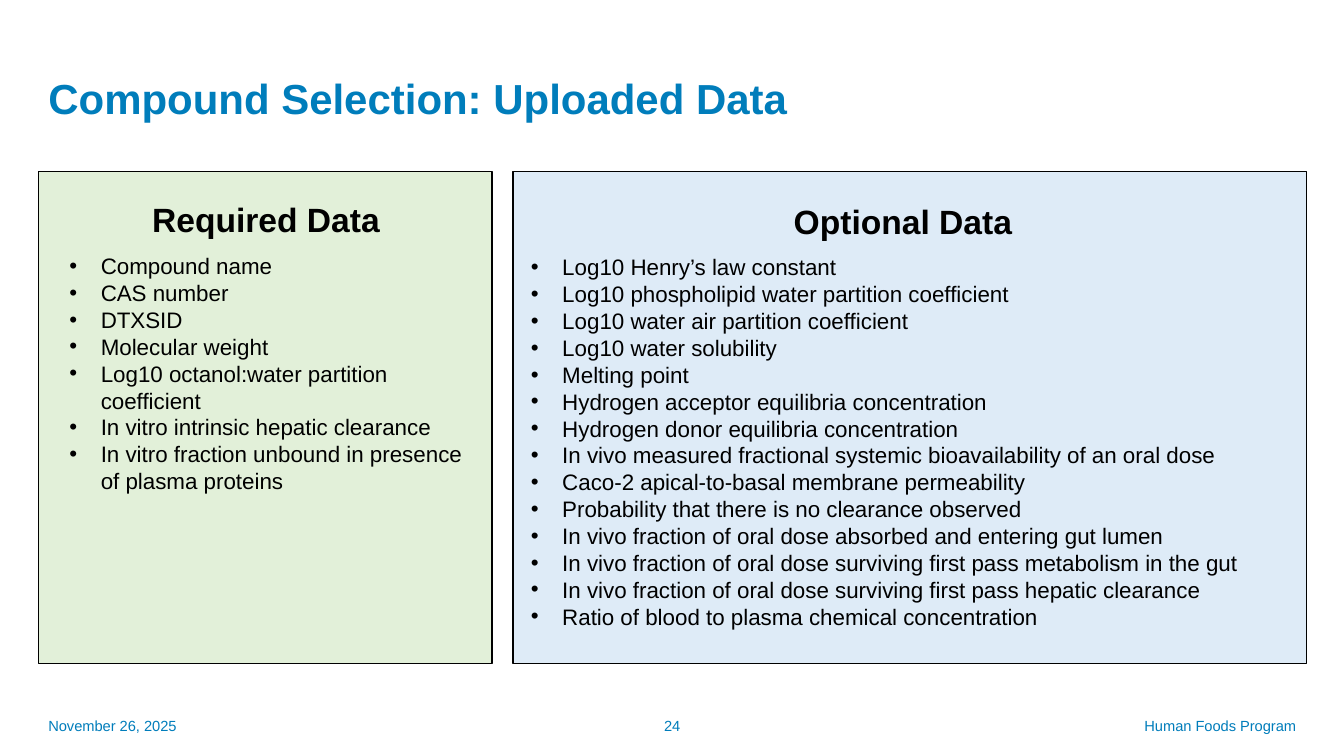
"""Builds the slide on required and optional uploaded compound data."""
from dataclasses import dataclass

from lxml import etree
from pptx import Presentation
from pptx.dml.color import RGBColor
from pptx.enum.shapes import MSO_SHAPE
from pptx.enum.text import MSO_ANCHOR, PP_ALIGN
from pptx.oxml.ns import qn
from pptx.slide import Slide
from pptx.text.text import TextFrame, _Paragraph
from pptx.util import Cm, Pt

RECTANGLE = MSO_SHAPE.RECTANGLE
TOP, MIDDLE = MSO_ANCHOR.TOP, MSO_ANCHOR.MIDDLE
LEFT, CENTER, RIGHT = PP_ALIGN.LEFT, PP_ALIGN.CENTER, PP_ALIGN.RIGHT


@dataclass(frozen=True)
class Theme:
    font: str = "Arial"
    accent: RGBColor = RGBColor(0x00, 0x7D, 0xBB)
    ink: RGBColor = RGBColor(0x00, 0x00, 0x00)
    green: RGBColor = RGBColor(0xE2, 0xF0, 0xD9)
    blue: RGBColor = RGBColor(0xDE, 0xEB, 0xF7)
    title: float = 30
    heading: float = 24
    body: float = 16
    footer: float = 10.5
    heading_gap: float = 9
    outline: float = 1


@dataclass(frozen=True)
class Box:
    left: float
    top: float
    width: float
    height: float

    def lengths(self) -> tuple[Cm, Cm, Cm, Cm]:
        return Cm(self.left), Cm(self.top), Cm(self.width), Cm(self.height)


@dataclass(frozen=True)
class FooterItem:
    text: str
    left: float
    width: float
    alignment: PP_ALIGN


@dataclass(frozen=True)
class DataPanel:
    heading: str
    frame: Box
    content: Box
    fill: RGBColor
    items: tuple[str, ...]


THEME = Theme()
SLIDE_WIDTH, SLIDE_HEIGHT = 33.87, 19.05
MARGIN = 0.97
PANEL_TOP, PANEL_HEIGHT = 4.32, 12.4
FOOTER_TOP, FOOTER_HEIGHT = 17.78, 1.02
BULLET_INDENT = 0.79
TITLE = "Compound Selection: Uploaded Data"
TITLE_BOX = Box(MARGIN, 1.85, 29.21, 1.52)

FOOTER = (
    FooterItem("November 26, 2025", MARGIN, 7.62, LEFT),
    FooterItem("24", 13.13, 7.62, CENTER),
    FooterItem("Human Foods Program", 21.49, 11.43, RIGHT),
)

PANELS = (
    DataPanel(
        "Optional Data",
        Box(12.93, PANEL_TOP, 19.99, PANEL_HEIGHT),
        Box(13.13, 4.93, 19.25, 11.2),
        THEME.blue,
        (
            "Log10 Henry’s law constant",
            "Log10 phospholipid water partition coefficient",
            "Log10 water air partition coefficient",
            "Log10 water solubility",
            "Melting point",
            "Hydrogen acceptor equilibria concentration",
            "Hydrogen donor equilibria concentration",
            "In vivo measured fractional systemic bioavailability of an oral dose",
            "Caco‐2 apical‐to‐basal membrane permeability",
            "Probability that there is no clearance observed",
            "In vivo fraction of oral dose absorbed and entering gut lumen",
            "In vivo fraction of oral dose surviving first pass metabolism in the gut",
            "In vivo fraction of oral dose surviving first pass hepatic clearance",
            "Ratio of blood to plasma chemical concentration",
        ),
    ),
    DataPanel(
        "Required Data",
        Box(MARGIN, PANEL_TOP, 11.43, PANEL_HEIGHT),
        Box(1.5, 4.9, 10.41, 7.77),
        THEME.green,
        (
            "Compound name",
            "CAS number",
            "DTXSID",
            "Molecular weight",
            "Log10 octanol:water partition coefficient",
            "In vitro intrinsic hepatic clearance",
            "In vitro fraction unbound in presence of plasma proteins",
        ),
    ),
)


def add_text_frame(slide: Slide, box: Box, anchor: MSO_ANCHOR = TOP) -> TextFrame:
    """Add a wrapping text box and return its text frame."""
    text_frame = slide.shapes.add_textbox(*box.lengths()).text_frame
    text_frame.word_wrap = True
    text_frame.vertical_anchor = anchor
    return text_frame


def add_run(paragraph: _Paragraph, text: str, size: float, color: RGBColor, bold: bool = False) -> None:
    """Append one styled run to the paragraph."""
    run = paragraph.add_run()
    run.text = text
    run.font.name = THEME.font
    run.font.size = Pt(size)
    run.font.bold = bold
    run.font.color.rgb = color


def add_bullet(paragraph: _Paragraph) -> None:
    """Give the paragraph a hanging round bullet."""
    properties = paragraph._p.get_or_add_pPr()
    properties.set("marL", str(Cm(BULLET_INDENT)))
    properties.set("indent", str(-Cm(BULLET_INDENT)))
    etree.SubElement(properties, qn("a:buFont"), typeface=THEME.font)
    etree.SubElement(properties, qn("a:buChar"), char="•")


def draw_title(slide: Slide) -> None:
    """Draw the slide title."""
    paragraph = add_text_frame(slide, TITLE_BOX).paragraphs[0]
    paragraph.line_spacing = 0.9
    add_run(paragraph, TITLE, THEME.title, THEME.accent, bold=True)


def draw_footer_item(slide: Slide, item: FooterItem) -> None:
    """Draw one part of the footer."""
    box = Box(item.left, FOOTER_TOP, item.width, FOOTER_HEIGHT)
    paragraph = add_text_frame(slide, box, MIDDLE).paragraphs[0]
    paragraph.alignment = item.alignment
    add_run(paragraph, item.text, THEME.footer, THEME.accent)


def draw_panel(slide: Slide, panel: DataPanel) -> None:
    """Draw a filled panel with its heading and bulleted items."""
    background = slide.shapes.add_shape(RECTANGLE, *panel.frame.lengths())
    background.shadow.inherit = False
    background.fill.solid()
    background.fill.fore_color.rgb = panel.fill
    background.line.color.rgb = THEME.ink
    background.line.width = Pt(THEME.outline)

    text_frame = add_text_frame(slide, panel.content)
    heading = text_frame.paragraphs[0]
    heading.alignment = CENTER
    heading.space_after = Pt(THEME.heading_gap)
    add_run(heading, panel.heading, THEME.heading, THEME.ink, bold=True)
    for item in panel.items:
        paragraph = text_frame.add_paragraph()
        add_bullet(paragraph)
        add_run(paragraph, item, THEME.body, THEME.ink)


def main() -> None:
    """Build and save the presentation."""
    presentation = Presentation()
    presentation.slide_width = Cm(SLIDE_WIDTH)
    presentation.slide_height = Cm(SLIDE_HEIGHT)
    slide = presentation.slides.add_slide(presentation.slide_layouts[6])
    for item in FOOTER:
        draw_footer_item(slide, item)
    for panel in PANELS:
        draw_panel(slide, panel)
    draw_title(slide)
    presentation.save("out.pptx")


if __name__ == "__main__":
    main()
